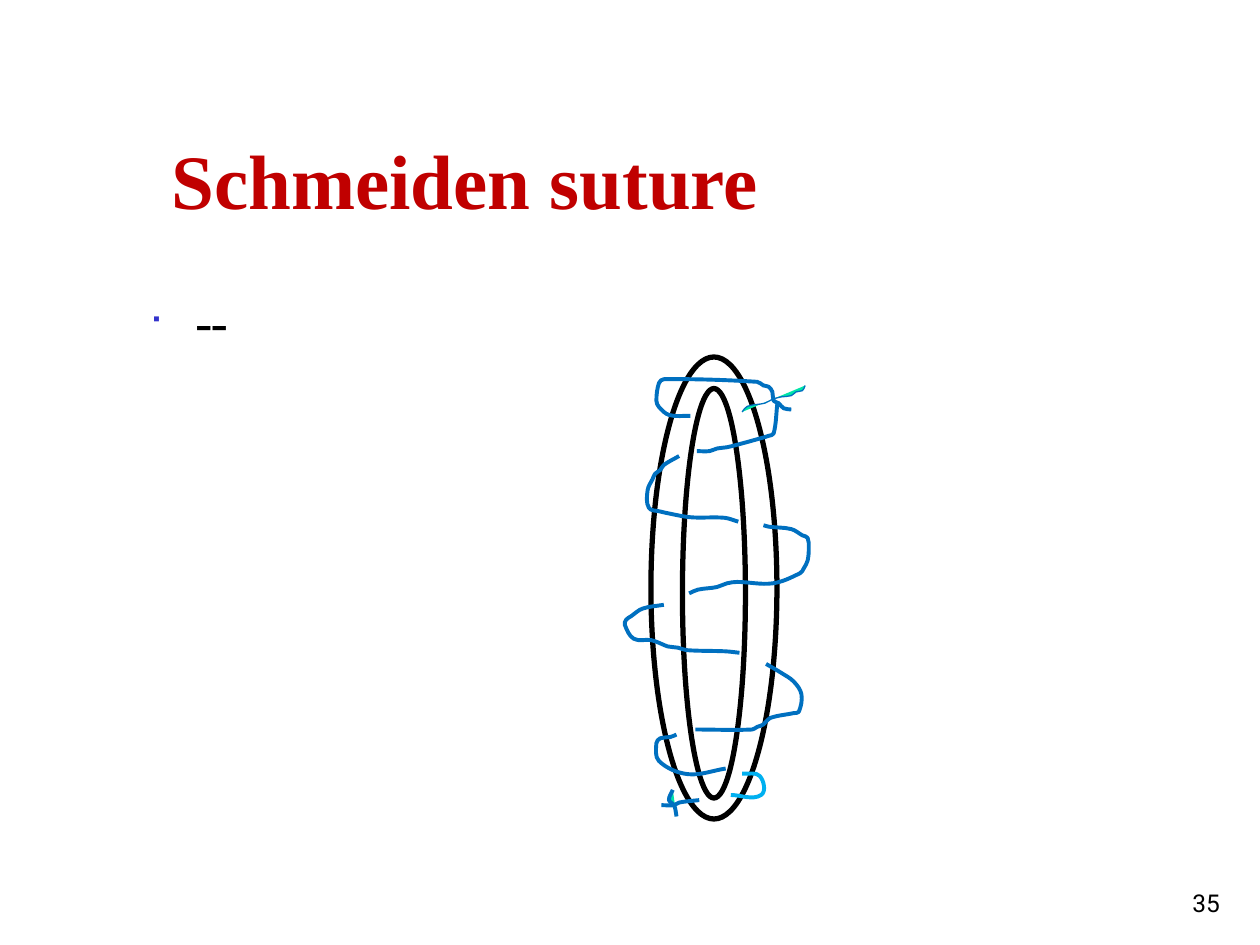
from math import dist

from lxml.etree import SubElement
from pptx import Presentation
from pptx.dml.color import RGBColor
from pptx.enum.shapes import MSO_SHAPE
from pptx.enum.text import MSO_ANCHOR, PP_ALIGN
from pptx.oxml.ns import qn
from pptx.util import Pt

BLACK = RGBColor(0x00, 0x00, 0x00)
RED = RGBColor(0xC0, 0x00, 0x00)
THREAD_BLUE = RGBColor(0x00, 0x70, 0xC0)
LIGHT_BLUE = RGBColor(0x00, 0xB0, 0xF0)
GREEN = RGBColor(0x00, 0xE4, 0xA8)
BULLET_COLOR = RGBColor(0x33, 0x33, 0xCC)

TITLE = "Schmeiden suture"
BODY = "--"
PAGE_NUMBER = "35"

WOUND_EDGES = [(372, 204, 72, 264), (390, 222, 36, 234)]

STITCHES = [
    (THREAD_BLUE, 0.75, GREEN, [
        (460.1, 220.3), (458.6, 223.2), (455, 223.9), (452.2, 226.1), (446.4, 226.8),
        (441.4, 228.2), (437, 230.4), (427, 232.2), (424.1, 235.4)]),
    (THREAD_BLUE, 2.25, None, [
        (394.6, 237.6), (382.5, 237.2), (376.6, 232.6), (375.1, 229), (376.6, 218.9),
        (379.4, 216.7), (432.7, 218.2), (436.3, 220.3), (439.2, 221), (441.4, 223.9),
        (442.1, 229), (445, 230.4), (447.8, 233.3), (452.2, 234)]),
    (THREAD_BLUE, 2.25, None, [
        (444.2, 230.4), (442.1, 247.7), (439.2, 249.1), (434.2, 250.6), (424.1, 253.4),
        (415.4, 255.6), (409.7, 256.3), (405.4, 257.8), (398.2, 257.8)]),
    (THREAD_BLUE, 2.25, None, [
        (388.1, 260.6), (379.4, 265.7), (377.3, 268.6), (374.4, 270.7), (373, 273.6),
        (370.1, 280.1), (370.8, 290.2), (377.3, 292.3), (380.2, 293), (394.6, 295.6),
        (414, 295.9), (421.9, 298.1)]),
    (THREAD_BLUE, 2.25, None, [
        (436.3, 300.2), (439.2, 301), (452.2, 302.4), (458.6, 306), (461.5, 307.4),
        (462.2, 313.2), (461.5, 320.4), (459.4, 324.7), (457.2, 327.6), (441.6, 333.4),
        (421.2, 332.6), (415.4, 333.4), (409.7, 335.5), (398.9, 337), (393.8, 339.1)]),
    (THREAD_BLUE, 2.25, None, [
        (379.4, 345.6), (367.2, 347.8), (360.7, 352.1), (357.8, 354.2), (357.1, 357.1),
        (362.2, 365), (372.2, 365.8), (378, 367.9), (381.6, 369.4),
        (387.4, 370.1), (392.4, 371.5), (414.7, 372.2), (422.6, 373)]),
    (THREAD_BLUE, 2.25, None, [
        (437.8, 379.4), (446.4, 384.5), (453.6, 389.5), (458, 396.8), (456.5, 406.8),
        (453.6, 407.5), (439.9, 410.4), (436.3, 414), (432.7, 415.4), (429.8, 416.9),
        (397.4, 416.9)]),
    (THREAD_BLUE, 2.25, None, [
        (386.6, 419.8), (383, 421.2), (377.3, 421.9), (375.1, 424.8), (376.6, 434.9),
        (393.1, 442.4), (414.7, 439.2)]),
    (LIGHT_BLUE, 2.25, None, [
        (424.1, 442.1), (434.2, 443.5), (434.9, 454.3), (417.6, 454.3)]),
    (THREAD_BLUE, 2.25, GREEN, [
        (399.6, 457.2), (388.1, 458.6), (385.2, 460.1), (378, 460.1)]),
    (THREAD_BLUE, 2.25, GREEN, [
        (386.6, 466.6), (385.2, 460.1), (382.3, 457.2), (384.5, 451.4)]),
]


def curve_points(points):
    directions = []
    for index in range(len(points)):
        before = points[max(index - 1, 0)]
        after = points[min(index + 1, len(points) - 1)]
        length = dist(before, after)
        directions.append([(b - a) / length for a, b in zip(before, after)])
    curve = []
    for index, (start, end) in enumerate(zip(points, points[1:])):
        handle = dist(start, end) / 3
        curve += [
            tuple(a + handle * u for a, u in zip(start, directions[index])),
            tuple(b - handle * v for b, v in zip(end, directions[index + 1])),
            end,
        ]
    return curve


def add_curve(shapes, points):
    builder = shapes.build_freeform(*map(Pt, points[0]))
    builder.add_line_segments(
        [(Pt(x), Pt(y)) for x, y in curve_points(points)], close=False)
    shape = builder.convert_to_shape()
    outline = next(shape._element.iter(qn("a:path")))
    lines = outline.findall(qn("a:lnTo"))
    for index in range(0, len(lines), 3):
        curve = SubElement(outline, qn("a:cubicBezTo"))
        for line in lines[index:index + 3]:
            curve.append(line[0])
            outline.remove(line)
    return shape


def style_outline(shape, line_color, width, fill_color=None):
    shape.shadow.inherit = False
    shape.line.color.rgb = line_color
    shape.line.width = Pt(width)
    if fill_color is None:
        shape.fill.background()
    else:
        shape.fill.solid()
        shape.fill.fore_color.rgb = fill_color


def place(shape, left, top, width, height):
    shape.left, shape.top = Pt(left), Pt(top)
    shape.width, shape.height = Pt(width), Pt(height)


def write(shape, text, font_name, size, color, bold=False,
          align=PP_ALIGN.LEFT, anchor=MSO_ANCHOR.TOP):
    frame = shape.text_frame
    frame.word_wrap = True
    frame.vertical_anchor = anchor
    paragraph = frame.paragraphs[0]
    paragraph.alignment = align
    run = paragraph.add_run()
    run.text = text
    run.font.name = font_name
    run.font.size = Pt(size)
    run.font.bold = bold
    run.font.color.rgb = color
    return paragraph


def add_bullet(paragraph):
    properties = paragraph._p.get_or_add_pPr()
    properties.set("marL", str(Pt(27)))
    properties.set("indent", str(Pt(-27)))
    color = SubElement(properties, qn("a:buClr"))
    SubElement(color, qn("a:srgbClr"), val=str(BULLET_COLOR))
    SubElement(properties, qn("a:buSzPct"), val="60000")
    SubElement(properties, qn("a:buFont"), typeface="Wingdings", charset="2")
    SubElement(properties, qn("a:buChar"), char="■")


def main():
    presentation = Presentation()
    presentation.slide_width, presentation.slide_height = Pt(720), Pt(540)
    slide = presentation.slides.add_slide(presentation.slide_layouts[5])
    shapes = slide.shapes

    place(shapes.title, 90.72, 17, 613.44, 115.2)
    write(shapes.title, TITLE, "Times New Roman", 44, RED, bold=True,
          anchor=MSO_ANCHOR.BOTTOM)

    body = shapes.add_textbox(Pt(78), Pt(162), Pt(612), Pt(324))
    add_bullet(write(body, BODY, "Roboto", 32, BLACK))

    number = shapes.add_textbox(Pt(554.4), Pt(491.76), Pt(149.76), Pt(36))
    write(number, PAGE_NUMBER, "Roboto", 14, BLACK,
          align=PP_ALIGN.RIGHT, anchor=MSO_ANCHOR.BOTTOM)

    for edge in WOUND_EDGES:
        ellipse = shapes.add_shape(MSO_SHAPE.OVAL, *map(Pt, edge))
        style_outline(ellipse, BLACK, 3)

    for line_color, width, fill_color, points in STITCHES:
        style_outline(add_curve(shapes, points), line_color, width, fill_color)

    presentation.save("out.pptx")


if __name__ == "__main__":
    main()
